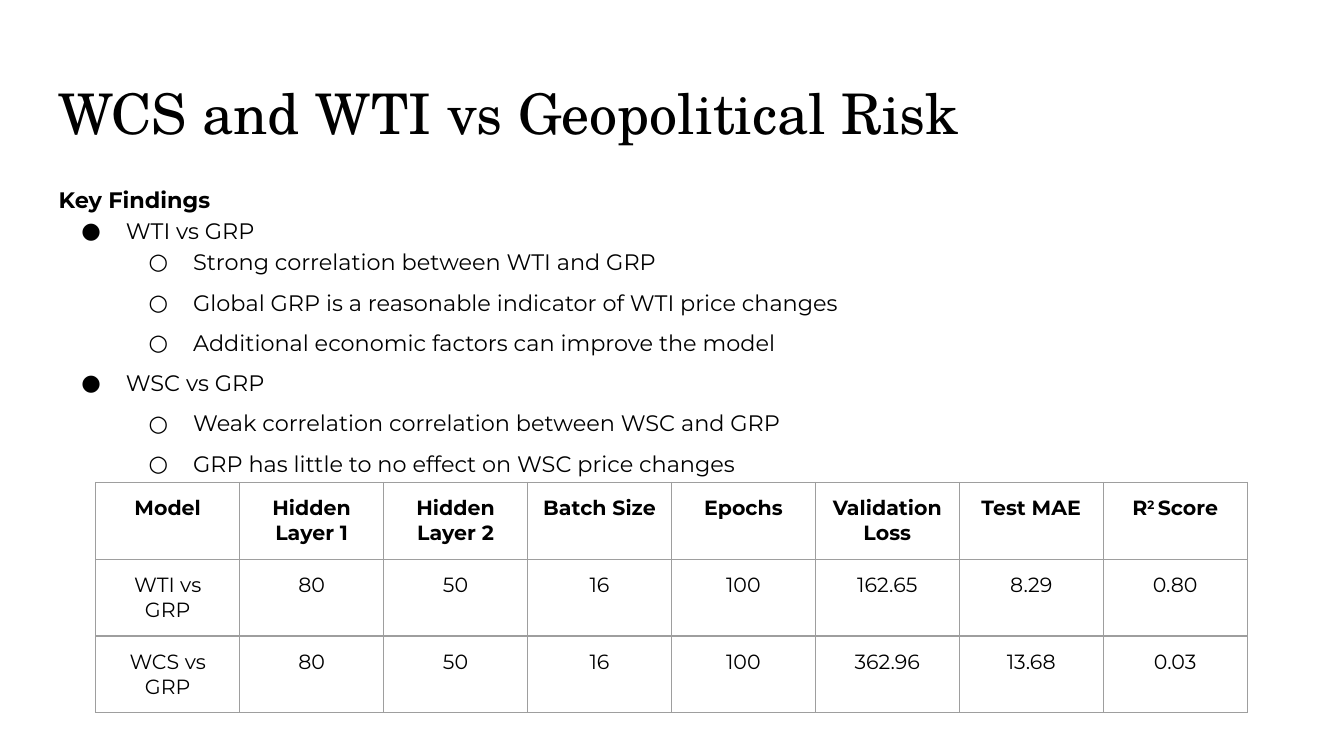
from lxml import etree
from pptx import Presentation
from pptx import util as u
from pptx.dml import color
from pptx.enum import text
from pptx.oxml import ns

HUES = {"ink": "000000", "grid": "9E9E9E"}
SANS, SERIF = "Montserrat", "TeX Gyre Schola"


def add(top, tag, **vals):
    node = etree.SubElement(top, ns.qn(tag))
    for key, val in vals.items():
        node.set(key, str(val))
    return node


def write(para, words, size, face=SANS, bold=False):
    run = para.add_run()
    run.text = words
    for key, val in {"size": u.Pt(size), "name": face, "bold": bold}.items():
        setattr(run.font, key, val)
    run.font.color.rgb = color.RGBColor.from_string(HUES["ink"])
    return run


deck = Presentation()
deck.slide_width, deck.slide_height = u.Cm(25.4), u.Cm(14.29)
slide = deck.slides.add_slide(deck.slide_layouts[1])
title, body = slide.placeholders

FRAME = {"margin_left": u.Cm(0.25), "margin_right": u.Cm(0.25),
         "margin_top": u.Cm(0.25), "margin_bottom": u.Cm(0.25),
         "vertical_anchor": text.MSO_ANCHOR.TOP}
for box, top, high in ((title, 1.24, 1.6), (body, 3.2, 10.64)):
    place = {"left": u.Cm(0.86), "top": u.Cm(top),
             "width": u.Cm(23.67), "height": u.Cm(high)}
    for key, val in place.items():
        setattr(box, key, val)
    for key, val in FRAME.items():
        setattr(box.text_frame, key, val)
    box.text_frame.word_wrap = True
    box.text_frame.auto_size = text.MSO_AUTO_SIZE.NONE

head = title.text_frame.paragraphs[0]
head.alignment = text.PP_ALIGN.LEFT
write(head, "WCS and WTI vs Geopolitical Risk", 30, SERIF)

NOTES = [
    (0, 1.15, "Key Findings"),
    (1, 1.15, "WTI vs GRP"),
    (2, 1.15, "Strong correlation between WTI and GRP"),
    (2, 1.5, "Global GRP is a reasonable indicator of WTI price changes"),
    (2, 1.5, "Additional economic factors can improve the model"),
    (1, 1.5, "WSC vs GRP"),
    (2, 1.5, "Weak correlation correlation between WSC and GRP"),
    (2, 1.5, "GRP has little to no effect on WSC price changes"),
]
for row, (depth, lead, words) in enumerate(NOTES):
    para = body.text_frame.paragraphs[0] if row == 0 else body.text_frame.add_paragraph()
    para.level = max(depth - 1, 0)
    props = para._p.get_or_add_pPr()
    props.set("marL", str(u.Cm(1.27 * depth)))
    props.set("indent", str(u.Cm(-0.84 if depth else 0)))
    if depth:
        add(add(props, "a:buClr"), "a:srgbClr", val=HUES["ink"])
        add(props, "a:buFont", typeface=SANS)
        add(props, "a:buChar", char="●○"[depth - 1])
    else:
        add(props, "a:buNone")
    para.line_spacing = lead
    para.space_before = para.space_after = u.Pt(0)
    write(para, words, 12, bold=depth == 0)

ROWS = [
    ["Model", "Hidden Layer 1", "Hidden Layer 2", "Batch Size", "Epochs",
     "Validation Loss", "Test MAE", ("R", "2 ", "Score")],
    ["WTI vs GRP", "80", "50", "16", "100", "162.65", "8.29", "0.80"],
    ["WCS vs GRP", "80", "50", "16", "100", "362.96", "13.68", "0.03"],
]
wide, high = 2.72, 1.45
grid = slide.shapes.add_table(
    len(ROWS), len(ROWS[0]), u.Cm(1.81), u.Cm(9.12),
    u.Cm(wide * len(ROWS[0])), u.Cm(high * len(ROWS))).table
grid.first_row = grid.horz_banding = False
for col in grid.columns:
    col.width = u.Cm(wide)
for r, row in enumerate(ROWS):
    grid.rows[r].height = u.Cm(high)
    for c, words in enumerate(row):
        cell = grid.cell(r, c)
        for key, val in FRAME.items():
            setattr(cell, key, val)
        props = cell._tc.get_or_add_tcPr()
        for side in ("a:lnL", "a:lnR", "a:lnT", "a:lnB"):
            line = add(props, side, w=u.Pt(0.75))
            add(add(line, "a:solidFill"), "a:srgbClr", val=HUES["grid"])
        cell.fill.background()
        para = cell.text_frame.paragraphs[0]
        para.alignment = text.PP_ALIGN.CENTER
        parts = [words] if isinstance(words, str) else words
        for n, part in enumerate(parts):
            run = write(para, part, 11, bold=r == 0)
            if n == 1:
                run._r.get_or_add_rPr().set("baseline", "30000")

deck.save("out.pptx")
